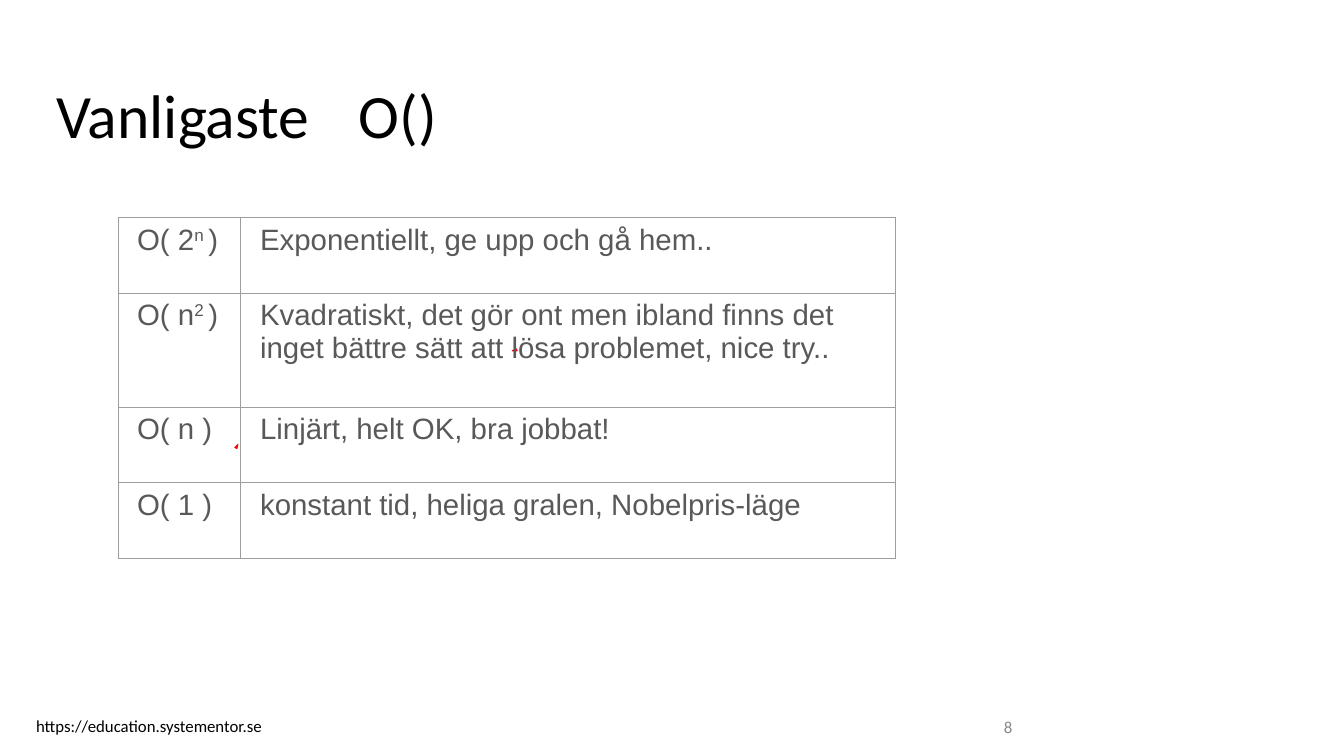
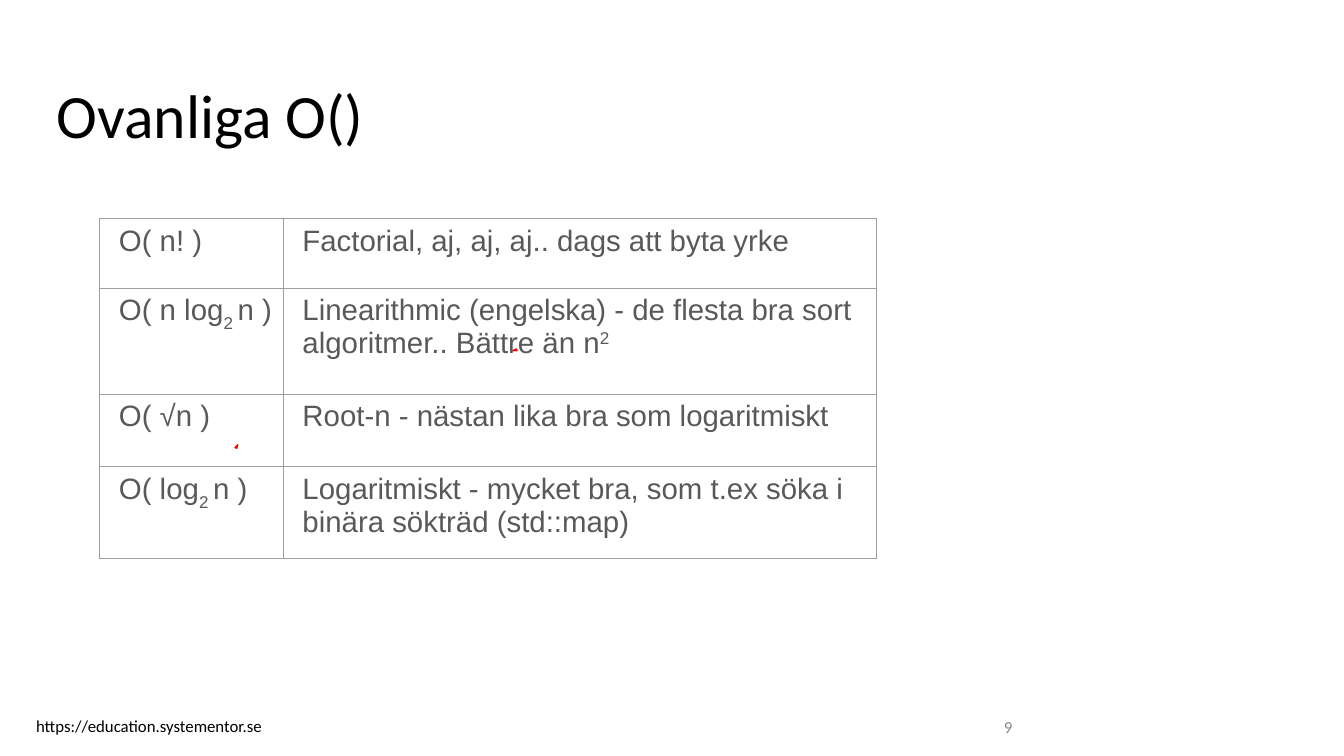
from lxml import etree
from pptx import Presentation
from pptx.dml.color import RGBColor
from pptx.enum.text import MSO_ANCHOR, MSO_AUTO_SIZE, PP_ALIGN
from pptx.oxml.ns import qn
from pptx.util import Inches, Pt

LEFT, RIGHT = PP_ALIGN.LEFT, PP_ALIGN.RIGHT
TOP, MIDDLE = MSO_ANCHOR.TOP, MSO_ANCHOR.MIDDLE
NO_AUTOFIT = MSO_AUTO_SIZE.NONE

BLACK, GREY, TEXT_GREY, BORDER, RED = "000000", "888888", "595959", "9E9E9E", "FF0000"
BORDER_SIDES = ("a:lnL", "a:lnR", "a:lnT", "a:lnB")
FOOTER = "https://education.systementor.se"
FIRST_NUMBER = 8
SUPER, SUB = 31000, -31000

RED_MARKS = [
    [(2.35, 4.45), (2.33, 4.44), (2.36, 4.41)],
    [(5.13, 3.48), (5.08, 3.48), (5.12, 3.46)],
]

SLIDES = [
    {
        "title": "Vanligaste\tO()",
        "left": 1.17,
        "top": 2.16,
        "columns": [1.22, 6.49],
        "heights": [0.75, 1.13, 0.75, 0.75],
        "rows": [
            ([("O( 2", 0), ("n ", SUPER), (")", 0)],
             [("Exponentiellt, ge upp och gå hem..", 0)]),
            ([("O( n", 0), ("2 ", SUPER), (")", 0)],
             [("Kvadratiskt, det gör ont men ibland finns det "
               "inget bättre sätt att lösa problemet, nice try..", 0)]),
            ([("O( n )", 0)], [("Linjärt, helt OK, bra jobbat!", 0)]),
            ([("O( 1 )", 0)], [("konstant tid, heliga gralen, Nobelpris-läge", 0)]),
        ],
    },
    {
        "title": "Ovanliga O()",
        "left": 0.99,
        "top": 2.17,
        "columns": [1.82, 5.88],
        "heights": [0.69, 1.05, 0.72, 0.91],
        "rows": [
            ([("O( n! )", 0)], [("Factorial, aj, aj, aj.. dags att byta yrke", 0)]),
            ([("O( n log", 0), ("2 ", SUB), ("n )", 0)],
             [("Linearithmic (engelska) - de flesta bra sort "
               "algoritmer.. Bättre än n", 0), ("2", SUPER)]),
            ([("O( √n )", 0)], [("Root-n - nästan lika bra som logaritmiskt", 0)]),
            ([("O( log", 0), ("2 ", SUB), ("n )", 0)],
             [("Logaritmiskt - mycket bra, som t.ex söka i "
               "binära sökträd (std::map)", 0)]),
        ],
    },
]


def color(value):
    return RGBColor.from_string(value)


def set_text(box, text, size, text_color, align=LEFT, anchor=TOP):
    frame = box.text_frame
    frame.text = text
    frame.word_wrap = True
    frame.auto_size = NO_AUTOFIT
    frame.vertical_anchor = anchor
    paragraph = frame.paragraphs[0]
    paragraph.alignment = align
    for span in paragraph.runs:
        span.font.name = "Calibri"
        span.font.size = Pt(size)
        span.font.color.rgb = color(text_color)


deck = Presentation()
deck.slide_width = Inches(13.33)
deck.slide_height = Inches(7.5)
title_only = deck.slide_layouts[5]

for number, content in enumerate(SLIDES, start=FIRST_NUMBER):
    page = deck.slides.add_slide(title_only)

    title = page.shapes.title
    title.left, title.top = Inches(0.56), Inches(0.74)
    title.width, title.height = Inches(12.38), Inches(1.25)
    set_text(title, content["title"], 44, BLACK)
    frame = title.text_frame
    frame.margin_left = frame.margin_right = frame.margin_bottom = 0
    frame.margin_top = Inches(0.02)

    footer = page.shapes.add_textbox(Inches(0.26), Inches(7.05), Inches(3.9), Inches(0.3))
    set_text(footer, FOOTER, 12, BLACK)

    number_box = page.shapes.add_textbox(Inches(7.14), Inches(7.01), Inches(3), Inches(0.4))
    set_text(number_box, str(number), 12, GREY, RIGHT, MIDDLE)

    for points in RED_MARKS:
        start, *others = [(Inches(x), Inches(y)) for x, y in points]
        builder = page.shapes.build_freeform(*start)
        builder.add_line_segments(others, close=True)
        mark = builder.convert_to_shape()
        mark.shadow.inherit = False
        mark.fill.solid()
        mark.fill.fore_color.rgb = color(RED)
        mark.line.color.rgb = color(RED)
        mark.line.width = Pt(0.75)

    rows, columns, heights = content["rows"], content["columns"], content["heights"]
    table = page.shapes.add_table(
        len(rows), len(columns), Inches(content["left"]), Inches(content["top"]),
        Inches(sum(columns)), Inches(sum(heights)),
    ).table
    table.first_row = False
    table.horz_banding = False
    for column, width in zip(table.columns, columns):
        column.width = Inches(width)

    for row, height, cell_texts in zip(table.rows, heights, rows):
        row.height = Inches(height)
        for cell, pieces in zip(row.cells, cell_texts):
            properties = cell._tc.get_or_add_tcPr()
            for side in BORDER_SIDES:
                border = etree.SubElement(properties, qn(side), w=str(Pt(0.75)))
                fill = etree.SubElement(border, qn("a:solidFill"))
                etree.SubElement(fill, qn("a:srgbClr"), val=BORDER)
            cell.fill.background()
            cell.margin_left = Inches(0.19)
            cell.margin_right = 0
            cell.margin_top = Inches(0.06)
            cell.margin_bottom = 0
            paragraph = cell.text_frame.paragraphs[0]
            for text, baseline in pieces:
                span = paragraph.add_run()
                span.text = text
                span.font.name = "Arial"
                span.font.size = Pt(21)
                span.font.color.rgb = color(TEXT_GREY)
                if baseline:
                    span._r.get_or_add_rPr().set("baseline", str(baseline))

deck.save("out.pptx")
